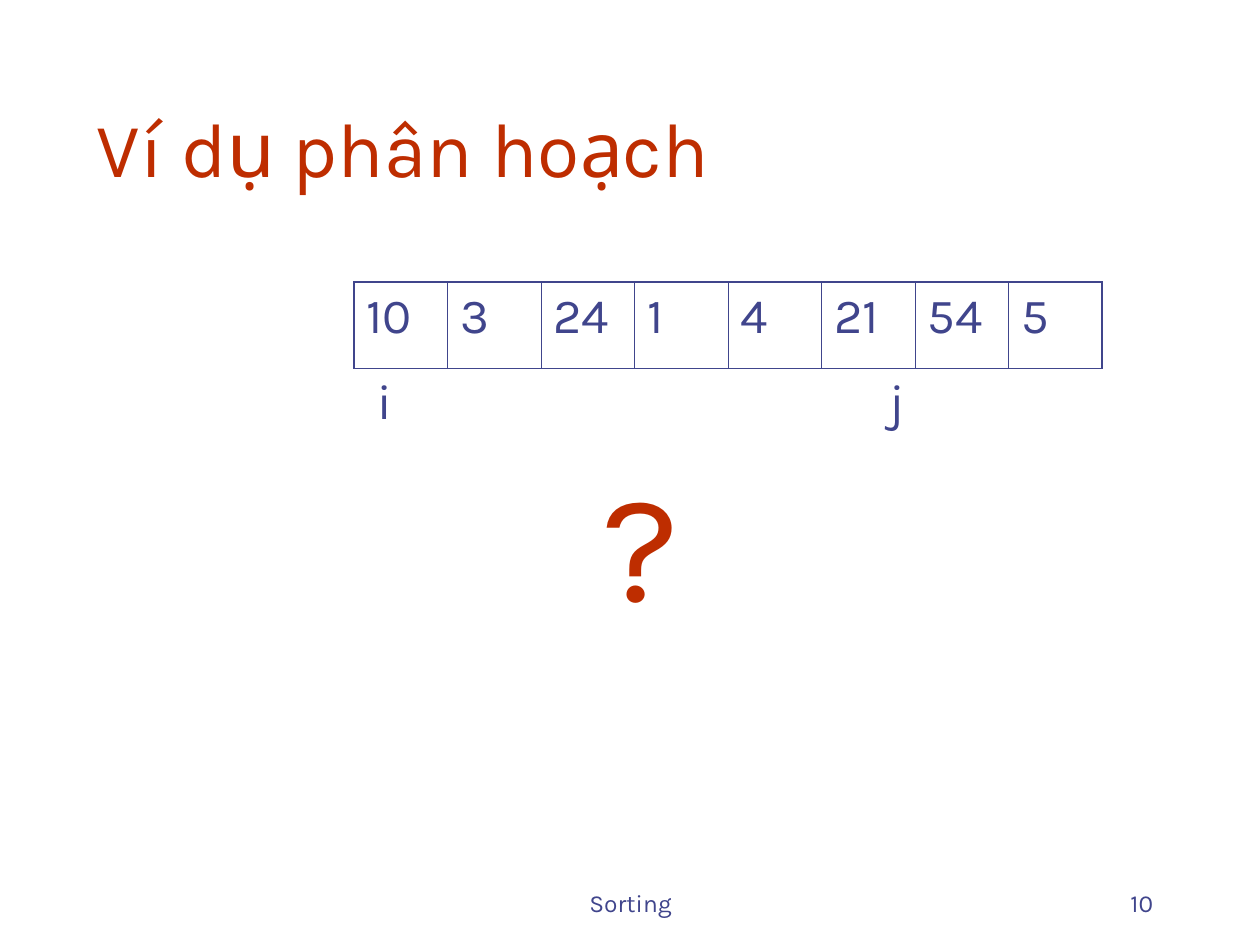
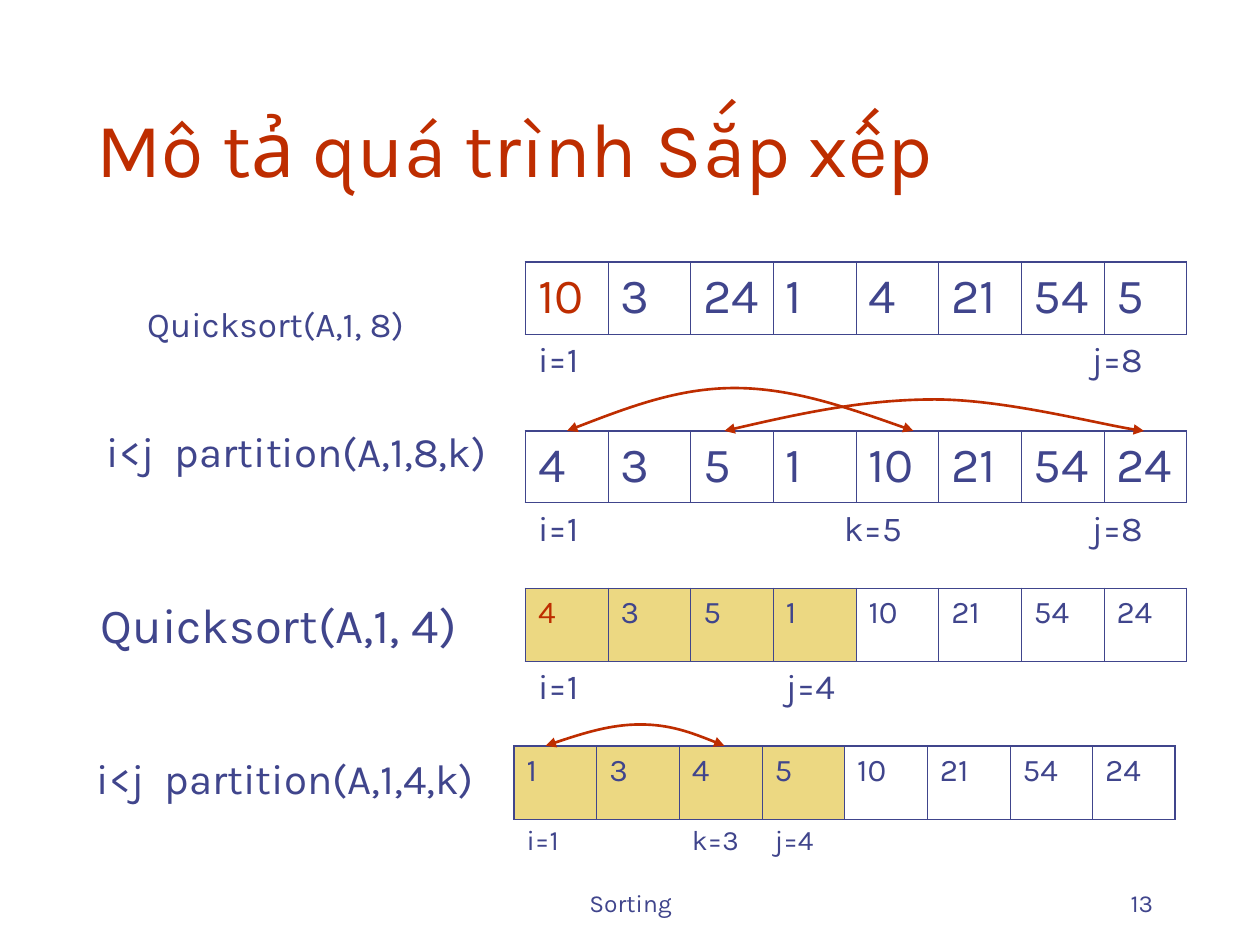
import pptx
import pptx.util
import pptx.dml.color
import pptx.enum.text
import pptx.oxml
import pptx.oxml.ns
from lxml import etree

Inches, Pt = pptx.util.Inches, pptx.util.Pt
qn = pptx.oxml.ns.qn
ALIGN = pptx.enum.text.PP_ALIGN
ANCHOR = pptx.enum.text.MSO_ANCHOR

# Content and style
COLORS = {"ink": "40458C", "accent": "BE2D00", "sorted_part": "ECD882"}
FONT = "Karla"
THICK, THIN = 1.08, 0.45
SHIFT = 0.46  # extra indent of a mark that stands away from its cell's left side

# Marks under an array: (first column, columns spanned, text, indent)
EXAMPLE = {
    "title": "Ví dụ phân hoạch", "number": "10",
    "arrays": [
        {"at": (2.81, 2.24), "width": 5.94, "rows": (0.68, 1.03), "sizes": (28, 28),
         "values": (10, 3, 24, 1, 4, 21, 54, 5), "marks": [(0, 8, "i\tj", 0.09)], "tab": 4.06},
    ],
    "labels": [
        {"text": "?", "at": (2.67, 3.5, 4.83, 1.57), "size": 88,
         "color": "accent", "align": ALIGN.CENTER},
    ],
    "swaps": [],
}

PROCESS = {
    "title": "Mô tả quá trình Sắp xếp", "number": "13",
    "arrays": [
        {"at": (4.17, 2.08), "rows": (0.57, 0.44), "sizes": (28, 20), "pivot": 0,
         "values": (10, 3, 24, 1, 4, 21, 54, 5),
         "marks": [(0, 2, "i=1", 0), (6, 2, "j=8", SHIFT)]},
        {"at": (4.17, 3.42), "rows": (0.57, 0.44), "sizes": (28, 20),
         "values": (4, 3, 5, 1, 10, 21, 54, 24),
         "marks": [(0, 2, "i=1", 0), (3, 3, "k=5", SHIFT), (6, 2, "j=8", SHIFT)]},
        {"at": (4.17, 4.67), "rows": (0.58, 0.58), "sizes": (18, 20), "pivot": 0, "filled": 4,
         "values": (4, 3, 5, 1, 10, 21, 54, 24),
         "marks": [(0, 2, "i=1", 0), (3, 3, "j=4", 0), (6, 2, "", 0)]},
        {"at": (4.08, 5.92), "rows": (0.58, 0.58), "sizes": (18, 16), "filled": 4,
         "values": (1, 3, 4, 5, 10, 21, 54, 24),
         "marks": [(0, 2, "i=1", 0), (2, 1, "k=3", 0), (3, 3, "j=4", 0), (6, 2, "", 0)]},
    ],
    "labels": [
        {"text": "Quicksort(A,1, 8)", "at": (1.07, 2.39, 2.68, 0.68), "size": 20, "spacing": 0.9},
        {"text": "i<j\tpartition(A,1,8,k)", "at": (0.75, 3.33, 3.5, 0.5), "size": 24, "tab": 0.54},
        {"text": "Quicksort(A,1, 4)", "at": (0.7, 4.67, 3.25, 0.75), "size": 28},
        {"text": "i<j\tpartition(A,1,4,k)", "at": (0.67, 5.92, 3.5, 0.5), "size": 24, "tab": 0.54},
    ],
    # Start point, then three points for each Bezier piece
    "swaps": [
        [(5.75, 3.42), (6.31, 3.29), (6.86, 3.17), (7.42, 3.17),
         (7.97, 3.17), (8.81, 3.39), (9.08, 3.42)],
        [(4.5, 3.42), (4.94, 3.25), (5.38, 3.08), (5.83, 3.08),
         (6.29, 3.08), (6.77, 3.25), (7.25, 3.42)],
        [(4.33, 5.92), (4.59, 5.83), (4.85, 5.75), (5.08, 5.75),
         (5.32, 5.75), (5.53, 5.83), (5.75, 5.92)],
    ],
}


# Text
def rgb(name):
    return pptx.dml.color.RGBColor.from_string(COLORS[name])


def write(frame, text, size, color="ink", align=ALIGN.LEFT, tab=None, spacing=None):
    paragraph = frame.paragraphs[0]
    if tab:
        stops = etree.SubElement(paragraph._p.get_or_add_pPr(), qn("a:tabLst"))
        etree.SubElement(stops, qn("a:tab"), pos=str(Inches(tab)), algn="l")
    paragraph.alignment = align
    if spacing:
        paragraph.line_spacing = spacing
    run = paragraph.add_run()
    run.text = text
    run.font.name, run.font.size = FONT, Pt(size)
    run.font.color.rgb = rgb(color)


def add_label(slide, text, at, size, anchor=ANCHOR.TOP, **style):
    frame = slide.shapes.add_textbox(*map(Inches, at)).text_frame
    frame.word_wrap = True
    frame.vertical_anchor = anchor
    write(frame, text, size, **style)


# Arrays
def set_borders(cell, **widths):
    """Draw the named sides (L, R, T, B) and clear the others."""
    tc_pr = cell._tc.get_or_add_tcPr()
    for side in "LRTB":
        line = etree.SubElement(tc_pr, qn("a:ln" + side))
        if side in widths:
            line.set("w", str(Pt(widths[side])))
            fill = etree.SubElement(line, qn("a:solidFill"))
            etree.SubElement(fill, qn("a:srgbClr"), val=COLORS["ink"])
        else:
            etree.SubElement(line, qn("a:noFill"))


def add_array(slide, at, rows, sizes, values, marks, width=5.25, pivot=None, filled=0, tab=None):
    count = len(values)
    table = slide.shapes.add_table(
        2, count, Inches(at[0]), Inches(at[1]), Inches(width), Inches(sum(rows))).table
    table.first_row = table.horz_banding = False
    for row, height in zip(table.rows, rows):
        row.height = Inches(height)
    for column in table.columns:
        column.width = Inches(width / count)

    for i, value in enumerate(values):
        cell, below = table.cell(0, i), table.cell(1, i)
        set_borders(cell, L=THIN if i else THICK, R=THIN if i < count - 1 else THICK,
                    T=THICK, B=THIN)
        set_borders(below, T=THIN)
        below.fill.background()
        if i < filled:
            cell.fill.solid()
            cell.fill.fore_color.rgb = rgb("sorted_part")
        else:
            cell.fill.background()
        write(cell.text_frame, str(value), sizes[0], "accent" if i == pivot else "ink")

    for first, span, text, indent in marks:
        cell = table.cell(1, first)
        if span > 1:
            cell.merge(table.cell(1, first + span - 1))
        if text:
            cell.margin_left = Inches(0.1 + indent)
            write(cell.text_frame, text, sizes[1], tab=tab)


# Double-headed swap arrows
def add_swap(slide, points):
    start, *rest = [(Inches(x), Inches(y)) for x, y in points]
    builder = slide.shapes.build_freeform(*start)
    builder.add_line_segments(rest, close=False)
    arc = builder.convert_to_shape()
    arc.shadow.inherit = False
    arc.fill.background()
    arc.line.color.rgb = rgb("accent")
    arc.line.width = Pt(1.5)
    # Join each three straight segments into one Bezier piece
    outline = next(arc.element.iter(qn("a:path")))
    segments = outline.findall(qn("a:lnTo"))
    for k in range(0, len(segments), 3):
        curve = etree.SubElement(outline, qn("a:cubicBezTo"))
        for segment in segments[k:k + 3]:
            curve.append(segment[0])
            outline.remove(segment)
    line = arc.line._get_or_add_ln()
    for end in ("a:headEnd", "a:tailEnd"):
        etree.SubElement(line, qn(end), type="triangle")


def add_content(deck, content):
    slide = deck.slides.add_slide(deck.slide_layouts[6])
    # Shared footer and title
    add_label(slide, "Sorting", (3.42, 6.83, 3.17, 0.5), 14, ANCHOR.BOTTOM, align=ALIGN.CENTER)
    add_label(slide, content["number"], (7.17, 6.83, 2.08, 0.5), 14, ANCHOR.BOTTOM,
              align=ALIGN.RIGHT)
    add_label(slide, content["title"], (0.67, 0.33, 8.5, 1.25), 44, ANCHOR.BOTTOM, color="accent")
    for array in content["arrays"]:
        add_array(slide, **array)
    for label in content["labels"]:
        add_label(slide, **label)
    for points in content["swaps"]:
        add_swap(slide, points)


def main():
    deck = pptx.Presentation()
    deck.slide_width, deck.slide_height = Inches(10), Inches(7.5)
    for content in (EXAMPLE, PROCESS):
        add_content(deck, content)
    deck.save("out.pptx")


if __name__ == "__main__":
    main()
